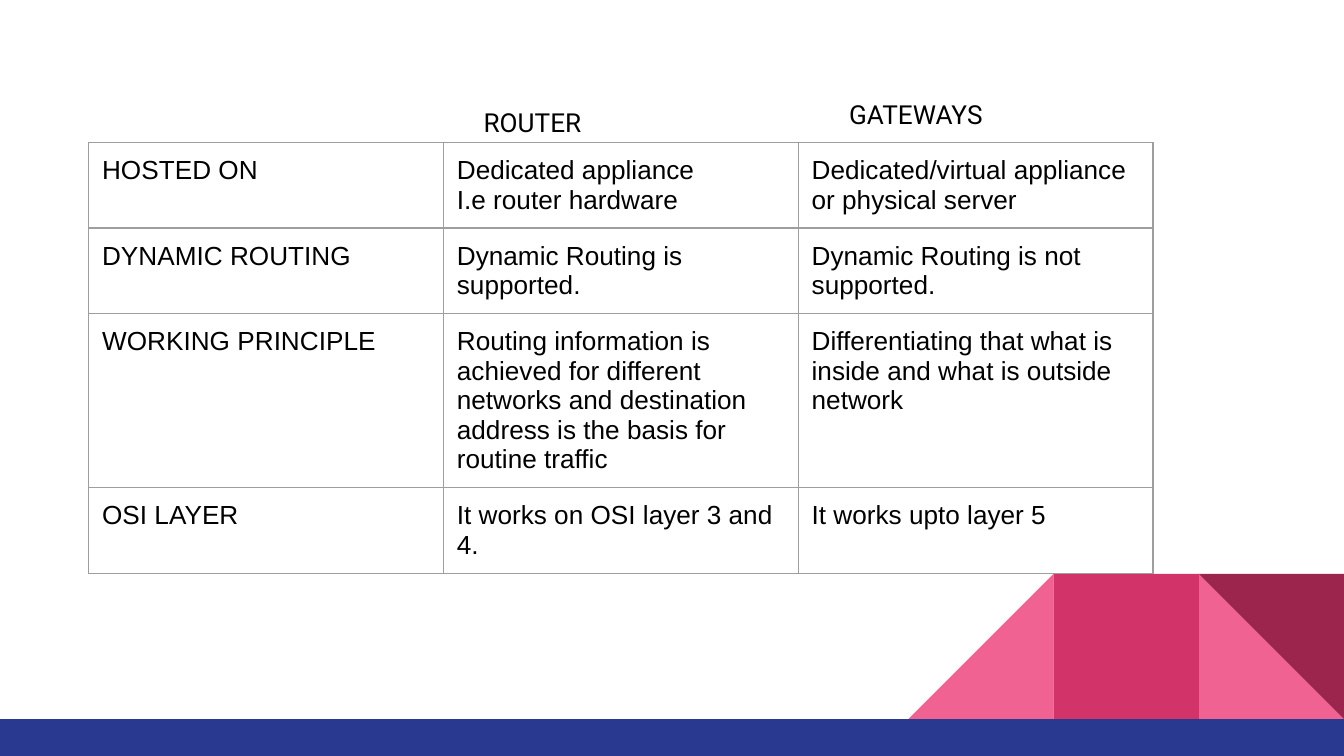
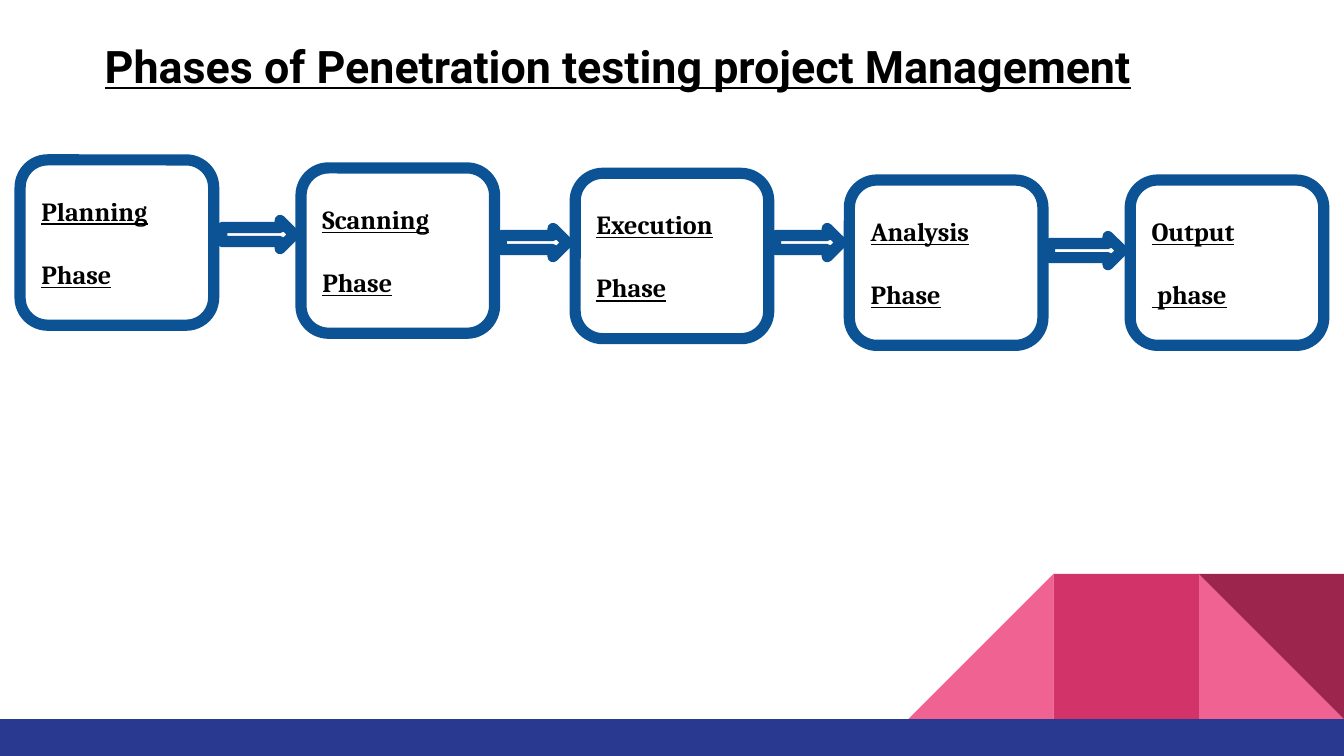
from typing import Any, NamedTuple

from lxml import etree
from pptx import Presentation
from pptx.dml.color import RGBColor
from pptx.enum.shapes import MSO_SHAPE
from pptx.enum.text import MSO_ANCHOR, PP_ALIGN
from pptx.oxml.ns import qn
from pptx.util import Inches, Pt

RECT = MSO_SHAPE.RECTANGLE
ROUND = MSO_SHAPE.ROUNDED_RECTANGLE
ARROW = MSO_SHAPE.RIGHT_ARROW
WEDGE = MSO_SHAPE.RIGHT_TRIANGLE
TOP, MIDDLE = MSO_ANCHOR.TOP, MSO_ANCHOR.MIDDLE
LEFT = PP_ALIGN.LEFT

BLACK, GREY, WHITE = "000000", "9E9E9E", "FFFFFF"
PINK, ROSE, WINE = "F06292", "D23369", "9C254D"
NAVY, BLUE = "2A3990", "0B5394"

LABEL = {"name": "Roboto", "size": Pt(14)}
BODY = {"name": "Arial", "size": Pt(14)}
STEP = {"name": "Cambria", "size": Pt(14), "bold": True, "underline": True}
TITLE = {"name": "Roboto", "size": Pt(24), "bold": True, "underline": True}
INSET = Inches(0.1)


class Box(NamedTuple):
    left: float
    top: float
    width: float
    height: float


class Tile(NamedTuple):
    kind: Any
    box: Box
    fill: str
    flip: bool = False
    turn: int = 0


class Phase(NamedTuple):
    lines: tuple[str, str]
    left: float
    top: float


class Link(NamedTuple):
    left: float
    top: float
    width: float


SIDE = 1.08
TILE_TOP = 4.27
DECOR = [
    Tile(WEDGE, Box(10 - SIDE, TILE_TOP, SIDE, SIDE), PINK),
    Tile(WEDGE, Box(10 - 3 * SIDE, TILE_TOP, SIDE, SIDE), PINK, flip=True),
    Tile(RECT, Box(10 - 2 * SIDE, TILE_TOP, SIDE, SIDE), ROSE),
    Tile(WEDGE, Box(10 - SIDE, TILE_TOP, SIDE, SIDE), WINE, turn=180),
    Tile(RECT, Box(0, 5.35, 10, 0.28), NAVY),
]

ROWS = [
    ("HOSTED ON", "Dedicated appliance\nI.e router hardware",
     "Dedicated/virtual appliance or physical server"),
    ("DYNAMIC ROUTING", "Dynamic Routing is supported.",
     "Dynamic Routing is not supported."),
    ("WORKING PRINCIPLE",
     "Routing information is achieved for different networks and "
     "destination address is the basis for routine traffic",
     "Differentiating that what is inside and what is outside network"),
    ("OSI LAYER", "It works on OSI layer 3 and 4.", "It works upto layer 5"),
]
HEIGHTS = [0.63, 0.63, 1.29, 0.63]
COLUMN = 2.64

PHASES = [
    Phase(("Planning", "Phase"), 0.15, 1.19),
    Phase(("Scanning", "Phase"), 2.24, 1.25),
    Phase(("Execution", "Phase"), 4.28, 1.29),
    Phase(("Analysis", "Phase"), 6.32, 1.34),
    Phase(("Output", " phase"), 8.41, 1.34),
]
LINKS = [
    Link(1.65, 1.64, 0.54),
    Link(3.73, 1.7, 0.49),
    Link(5.77, 1.7, 0.49),
    Link(7.81, 1.76, 0.54),
]


def color(code: str) -> RGBColor:
    return RGBColor.from_string(code)


def place(box: Box) -> list[int]:
    return [Inches(side) for side in box]


def write(frame: Any, lines: list[str], style: dict[str, Any],
          gap: float = 0) -> None:
    """Fill a text frame with one paragraph a line, gap points apart."""
    for count, line in enumerate(lines):
        para = frame.paragraphs[0] if count == 0 else frame.add_paragraph()
        para.alignment = LEFT
        if count and gap:
            para.space_before = Pt(gap)
        run = para.add_run()
        run.text = line
        for name, value in style.items():
            setattr(run.font, name, value)
        run.font.color.rgb = color(BLACK)


def pad(holder: Any) -> None:
    for side in ("left", "right", "top", "bottom"):
        setattr(holder, f"margin_{side}", INSET)


def add_text(slide: Any, box: Box, text: str, style: dict[str, Any]) -> None:
    frame = slide.shapes.add_textbox(*place(box)).text_frame
    frame.word_wrap = True
    frame.vertical_anchor = TOP
    pad(frame)
    write(frame, [text], style)


def add_tile(slide: Any, tile: Tile) -> None:
    shape = slide.shapes.add_shape(tile.kind, *place(tile.box))
    shape.shadow.inherit = False
    shape.fill.solid()
    shape.fill.fore_color.rgb = color(tile.fill)
    shape.line.fill.background()
    shape.rotation = tile.turn
    if tile.flip:
        shape._element.spPr.find(qn("a:xfrm")).set("flipH", "1")


def add_frame(slide: Any, kind: Any, box: Box) -> Any:
    """Add an unfilled shape with the thick blue outline."""
    shape = slide.shapes.add_shape(kind, *place(box))
    shape.shadow.inherit = False
    shape.fill.background()
    shape.line.color.rgb = color(BLUE)
    shape.line.width = Pt(6)
    return shape


def add_phase(slide: Any, phase: Phase) -> None:
    shape = add_frame(slide, ROUND, Box(phase.left, phase.top, 1.44, 1.23))
    frame = shape.text_frame
    frame.word_wrap = True
    frame.vertical_anchor = MIDDLE
    pad(frame)
    write(frame, phase.lines, STEP, gap=17)


def add_edges(cell: Any) -> None:
    props = cell._tc.get_or_add_tcPr()
    for side in ("lnL", "lnR", "lnT", "lnB"):
        line = etree.SubElement(props, qn(f"a:{side}"), w=str(Pt(0.75)))
        fill = etree.SubElement(line, qn("a:solidFill"))
        etree.SubElement(fill, qn("a:srgbClr"), val=GREY)


def add_grid(slide: Any) -> None:
    box = Box(0.66, 1.06, 3 * COLUMN, sum(HEIGHTS))
    table = slide.shapes.add_table(len(ROWS), 3, *place(box)).table
    table.first_row = table.horz_banding = False
    for column in table.columns:
        column.width = Inches(COLUMN)
    for row, height, texts in zip(table.rows, HEIGHTS, ROWS):
        row.height = Inches(height)
        for cell, text in zip(row.cells, texts):
            pad(cell)
            add_edges(cell)
            cell.fill.background()
            write(cell.text_frame, text.split("\n"), BODY)


def add_slide(deck: Any) -> Any:
    slide = deck.slides.add_slide(deck.slide_layouts[6])
    slide.background.fill.solid()
    slide.background.fill.fore_color.rgb = color(WHITE)
    for tile in DECOR:
        add_tile(slide, tile)
    return slide


def main() -> None:
    deck = Presentation()
    deck.slide_width, deck.slide_height = Inches(10), Inches(5.625)

    slide = add_slide(deck)
    add_grid(slide)
    add_text(slide, Box(3.5, 0.69, 1.96, 0.28), "ROUTER", LABEL)
    add_text(slide, Box(6.22, 0.69, 1.96, 0.14), "GATEWAYS", LABEL)

    slide = add_slide(deck)
    for phase in PHASES:
        add_phase(slide, phase)
    for link in LINKS:
        add_frame(slide, ARROW, Box(*link, 0.21))
    add_text(slide, Box(0.68, 0.19, 8.49, 0.64),
             "Phases of Penetration testing project Management", TITLE)

    deck.save("out.pptx")


if __name__ == "__main__":
    main()
